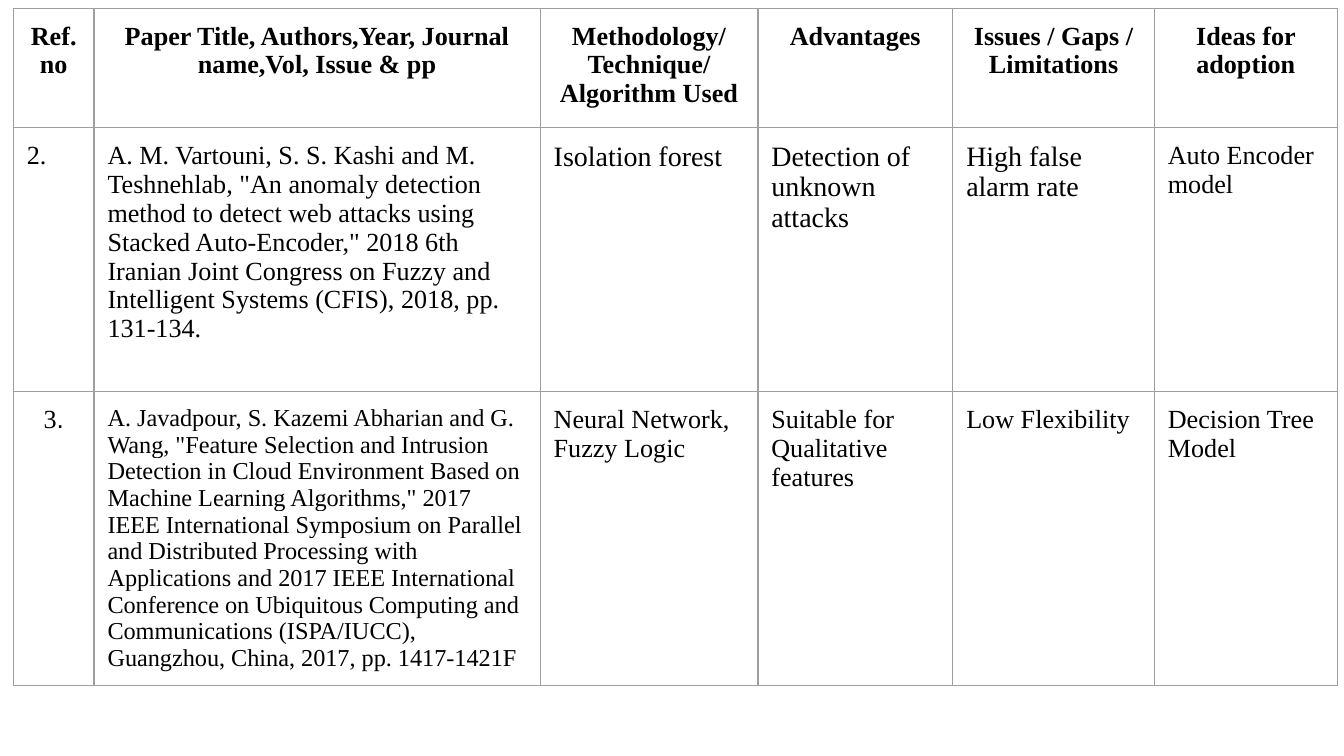
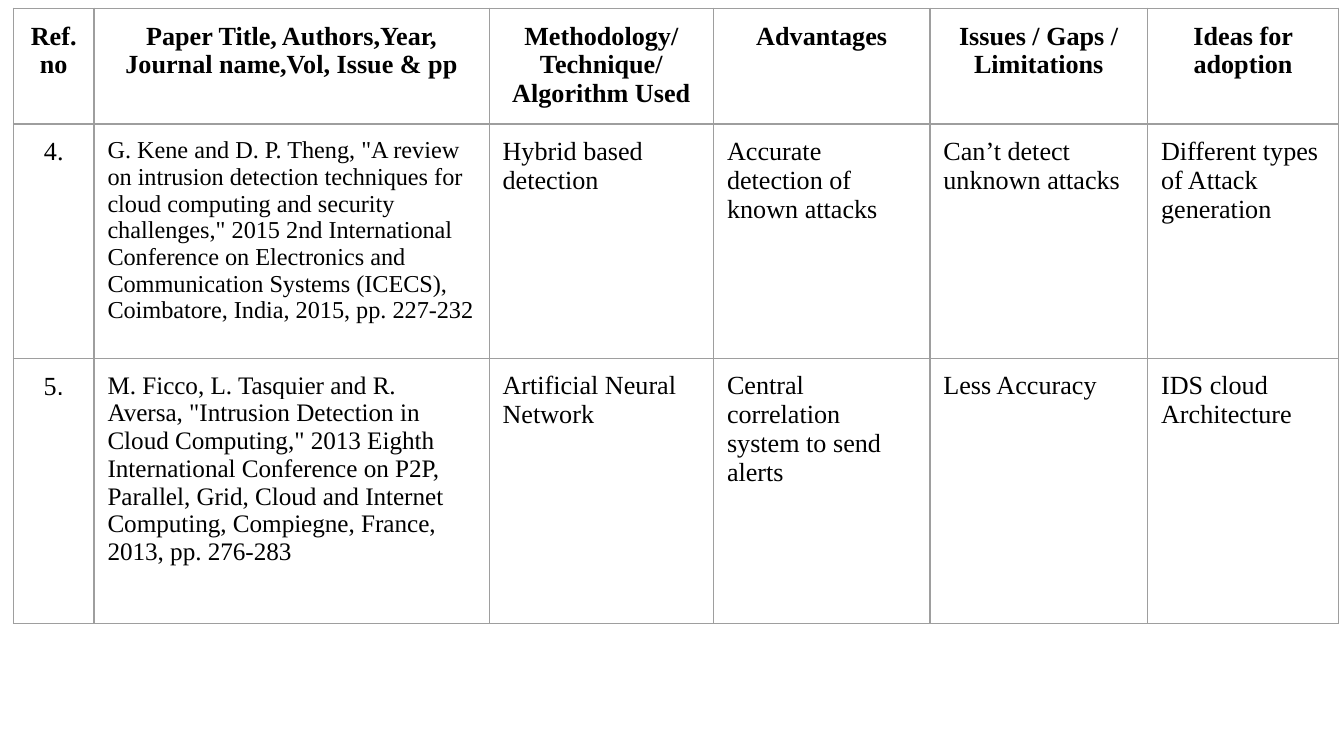
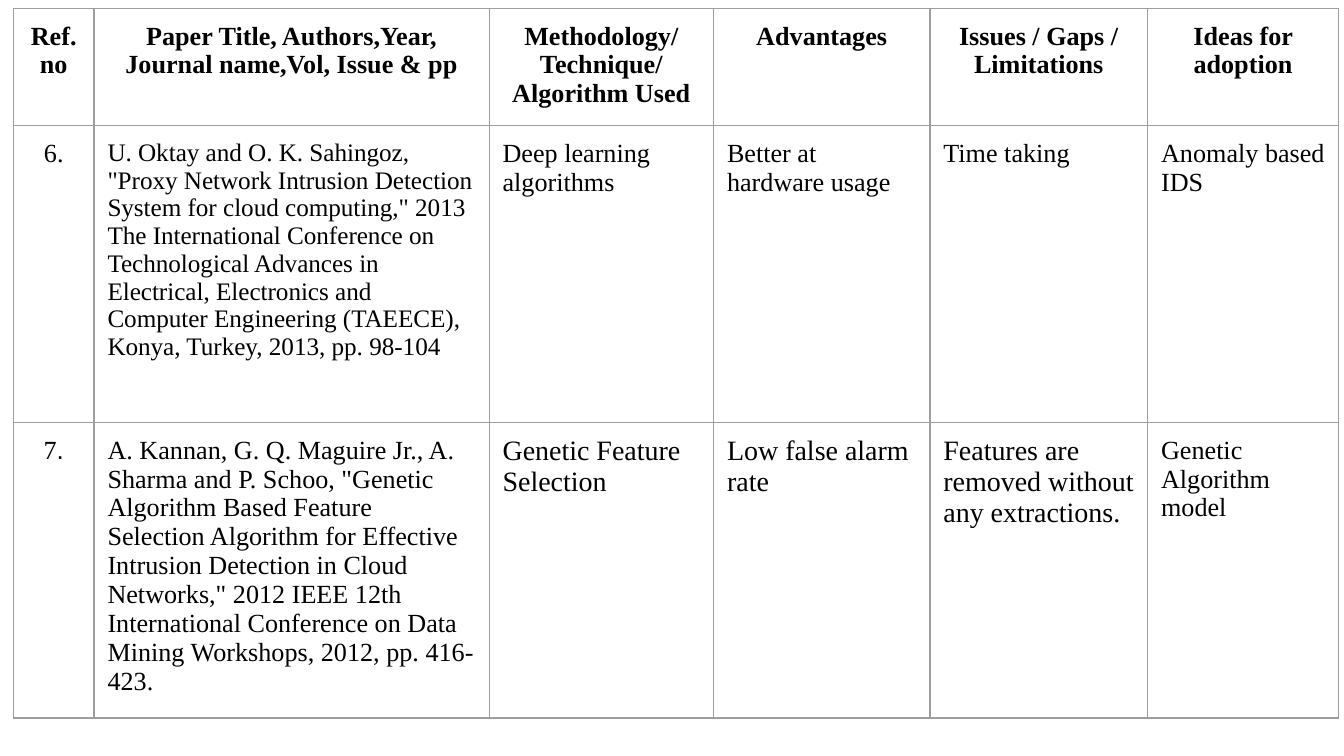
import pptx
import pptx.dml.color
import pptx.enum.text
import pptx.oxml
import pptx.oxml.ns
import pptx.util
from dataclasses import dataclass

ALIGN = pptx.enum.text.PP_ALIGN
SERIF, SANS = "Times New Roman", "Arial"
BLACK, WHITE, BORDER = "000000", "FFFFFF", "9E9E9E"
BORDER_WIDTH = pptx.util.Pt(0.75)
CELL_INSET = pptx.util.Inches(0.1)

# Table corner and sizes, in percent of the slide's width or height
TABLE_LEFT, TABLE_TOP = 1, 1.1
WIDE_PAPER_COLUMNS = [6, 33.2, 16.2, 14.5, 15, 13.6]
EVEN_COLUMNS = [6, 29.4, 16.7, 16.1, 16.2, 14.2]

HEADINGS = [
    ["Ref.", "no"],
    ["Paper Title, Authors,Year, Journal name,Vol, Issue & pp"],
    ["Methodology/ Technique/ Algorithm Used"],
    ["Advantages"],
    ["Issues / Gaps / Limitations"],
    ["Ideas for adoption"],
]


@dataclass
class Reference:
    number: str
    paper: str
    findings: list
    paper_size: float = 14
    finding_size: float = 14    # method, advantages and issues
    idea_size: float = 14
    number_align: object = ALIGN.CENTER
    dot_font: str = SERIF
    highlight: str = ""


SURVEY = [
    (WIDE_PAPER_COLUMNS, [15.8, 34.9, 36.8], [
        Reference(
            "2",
            'A. M. Vartouni, S. S. Kashi and M. Teshnehlab, "An anomaly detection method to '
            'detect web attacks using Stacked Auto-Encoder," 2018 6th Iranian Joint Congress '
            'on Fuzzy and Intelligent Systems (CFIS), 2018, pp. 131-134.',
            ["Isolation forest", "Detection of unknown attacks", "High false alarm rate",
             "Auto Encoder model"],
            finding_size=15, number_align=ALIGN.LEFT),
        Reference(
            "3",
            'A. Javadpour, S. Kazemi Abharian and G. Wang, "Feature Selection and Intrusion '
            'Detection in Cloud Environment Based on Machine Learning Algorithms," 2017 IEEE '
            'International Symposium on Parallel and Distributed Processing with Applications '
            'and 2017 IEEE International Conference on Ubiquitous Computing and Communications '
            '(ISPA/IUCC), Guangzhou, China, 2017, pp. 1417-1421F',
            ["Neural Network, Fuzzy Logic", "Suitable for Qualitative features",
             "Low Flexibility", "Decision Tree Model"],
            paper_size=13, dot_font=SANS, highlight=WHITE),
    ]),
    (EVEN_COLUMNS, [15.3, 31, 35.1], [
        Reference(
            "4",
            'G. Kene and D. P. Theng, "A review on intrusion detection techniques for cloud '
            'computing and security challenges," 2015 2nd International Conference on '
            'Electronics and Communication Systems (ICECS), Coimbatore, India, 2015, '
            'pp. 227-232',
            ["Hybrid based detection", "Accurate detection of known attacks",
             "Can’t detect unknown attacks", "Different types of Attack generation"],
            paper_size=13),
        Reference(
            "5",
            'M. Ficco, L. Tasquier and R. Aversa, "Intrusion Detection in Cloud Computing," '
            '2013 Eighth International Conference on P2P, Parallel, Grid, Cloud and Internet '
            'Computing, Compiegne, France, 2013, pp. 276-283',
            ["Artificial Neural Network", "Central correlation system to send alerts",
             "Less Accuracy", "IDS cloud Architecture"],
            paper_size=13.5, dot_font=SANS, highlight=WHITE),
    ]),
    (EVEN_COLUMNS, [15.5, 39.3, 39.1], [
        Reference(
            "6",
            'U. Oktay and O. K. Sahingoz, "Proxy Network Intrusion Detection System for cloud '
            'computing," 2013 The International Conference on Technological Advances in '
            'Electrical, Electronics and Computer Engineering (TAEECE), Konya, Turkey, 2013, '
            'pp. 98-104',
            ["Deep learning algorithms", "Better at hardware usage", "Time taking",
             "Anomaly based IDS"],
            paper_size=13.5),
        Reference(
            "7",
            'A. Kannan, G. Q. Maguire Jr., A. Sharma and P. Schoo, "Genetic Algorithm Based '
            'Feature Selection Algorithm for Effective Intrusion Detection in Cloud Networks," '
            '2012 IEEE 12th International Conference on Data Mining Workshops, 2012, '
            'pp. 416-423.',
            ["Genetic Feature Selection", "Low false alarm rate",
             "Features are removed without any extractions.", "Genetic Algorithm model"],
            finding_size=15, dot_font=SANS, highlight=WHITE),
    ]),
]


def color(hex_string):
    return pptx.dml.color.RGBColor.from_string(hex_string)


def set_attributes(target, values):
    for name, value in values.items():
        setattr(target, name, value)


def add_run(paragraph, text, size=14, bold=False, font=SERIF, highlight=""):
    run = paragraph.add_run()
    run.text = text
    run.font.color.rgb = color(BLACK)
    if highlight:
        # The highlight element sits between the fill and the typeface
        run.font._element.append(pptx.oxml.parse_xml(
            f'<a:highlight {pptx.oxml.ns.nsdecls("a")}>'
            f'<a:srgbClr val="{highlight}"/></a:highlight>'))
    set_attributes(run.font, {"size": pptx.util.Pt(size), "bold": bold, "name": font})


def format_cell(cell):
    set_attributes(cell, {f"margin_{side}": CELL_INSET
                          for side in ("left", "right", "top", "bottom")})
    properties = cell._tc.get_or_add_tcPr()
    for side in "LRTB":
        properties.append(pptx.oxml.parse_xml(
            f'<a:ln{side} {pptx.oxml.ns.nsdecls("a")} w="{BORDER_WIDTH}">'
            f'<a:solidFill><a:srgbClr val="{BORDER}"/></a:solidFill></a:ln{side}>'))
    cell.fill.background()


def fill_heading_row(cells):
    for cell, lines in zip(cells, HEADINGS):
        for index, line in enumerate(lines):
            frame = cell.text_frame
            paragraph = frame.add_paragraph() if index else frame.paragraphs[0]
            paragraph.alignment = ALIGN.CENTER
            add_run(paragraph, line, bold=True)


def fill_reference_row(cells, reference):
    number, paper, *findings = [cell.text_frame.paragraphs[0] for cell in cells]
    number.alignment = reference.number_align
    add_run(number, reference.number)
    add_run(number, ".", font=reference.dot_font)
    add_run(paper, reference.paper, reference.paper_size, highlight=reference.highlight)
    sizes = [reference.finding_size] * 3 + [reference.idea_size]
    for paragraph, text, size in zip(findings, reference.findings, sizes):
        add_run(paragraph, text, size)


def add_survey_table(slide, box, column_widths, row_heights, references):
    shape = slide.shapes.add_table(len(row_heights), len(column_widths), *box)
    table = shape.table
    set_attributes(table, {"first_row": False, "horz_banding": False})

    # Grid, sharing out the box by weight
    for column, weight in zip(table.columns, column_widths):
        column.width = round(box[2] * weight / sum(column_widths))
    for row, weight in zip(table.rows, row_heights):
        row.height = round(box[3] * weight / sum(row_heights))
    for cell in table.iter_cells():
        format_cell(cell)

    # Contents
    heading_row, *reference_rows = table.rows
    fill_heading_row(heading_row.cells)
    for row, reference in zip(reference_rows, references):
        fill_reference_row(row.cells, reference)


def main():
    presentation = pptx.Presentation()
    set_attributes(presentation, {"slide_width": pptx.util.Inches(10),
                                  "slide_height": pptx.util.Inches(5.625)})
    across = presentation.slide_width / 100
    down = presentation.slide_height / 100
    for column_widths, row_heights, references in SURVEY:
        slide = presentation.slides.add_slide(presentation.slide_layouts[6])
        slide.background.fill.solid()
        slide.background.fill.fore_color.rgb = color(WHITE)
        box = [round(length) for length in (
            TABLE_LEFT * across, TABLE_TOP * down,
            sum(column_widths) * across, sum(row_heights) * down)]
        add_survey_table(slide, box, column_widths, row_heights, references)
    presentation.save("out.pptx")


if __name__ == "__main__":
    main()
